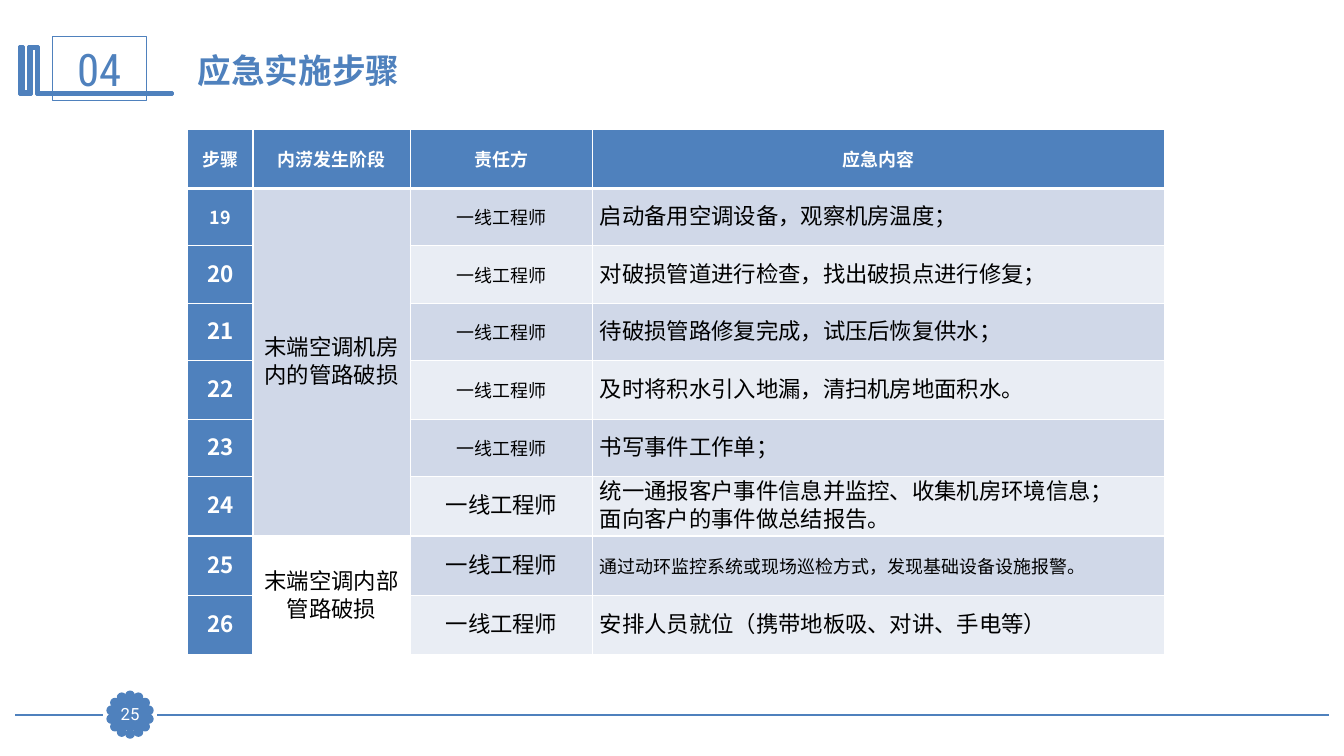
from dataclasses import dataclass
from math import cos, pi, sin

from lxml import etree
from pptx import Presentation
from pptx.dml.color import RGBColor
from pptx.enum.shapes import MSO_CONNECTOR, MSO_SHAPE
from pptx.enum.text import MSO_ANCHOR, MSO_AUTO_SIZE, PP_ALIGN
from pptx.oxml.ns import qn
from pptx.util import Inches, Pt

LEFT, CENTER = PP_ALIGN.LEFT, PP_ALIGN.CENTER
MIDDLE = MSO_ANCHOR.MIDDLE
NO_AUTOFIT = MSO_AUTO_SIZE.NONE
RECTANGLE, OVAL = MSO_SHAPE.RECTANGLE, MSO_SHAPE.OVAL
STRAIGHT = MSO_CONNECTOR.STRAIGHT


@dataclass(frozen=True)
class Theme:
    accent: str = "4F81BD"
    white: str = "FFFFFF"
    black: str = "000000"
    bands: tuple = ("D0D8E8", "E9EDF4")
    latin: str = "Roboto"
    condensed: str = "Roboto Condensed"
    cjk: str = "Noto Sans CJK SC"
    number_size: int = 32
    title_size: int = 24
    table_size: int = 16
    page_size: int = 12


THEME = Theme()
SLIDE_WIDTH, SLIDE_HEIGHT = 13.33, 7.5
TABLE_LEFT, TABLE_WIDTH = 1.86, 9.69

COLUMN_WIDTHS = (0.65, 1.56, 1.81, 5.67)
ROW_HEIGHTS = (0.59, 0.57, 0.57, 0.57, 0.58, 0.57, 0.59, 0.59, 0.59)
HEADINGS = ("步骤", "内涝发生阶段", "责任方", "应急内容")
FIRST_STEP = 19
RESPONSIBLE = "一线工程师"
ACTIONS = (
    ("启动备用空调设备，观察机房温度；",),
    ("对破损管道进行检查，找出破损点进行修复；",),
    ("待破损管路修复完成，试压后恢复供水；",),
    ("及时将积水引入地漏，清扫机房地面积水。",),
    ("书写事件工作单；",),
    ("统一通报客户事件信息并监控、收集机房环境信息；", "面向客户的事件做总结报告。"),
    ("通过动环监控系统或现场巡检方式，发现基础设备设施报警。",),
    ("安排人员就位（携带地板吸、对讲、手电等）",),
)
# first step, last step, wording, fill, font
STAGES = (
    (19, 24, "末端空调机房内的管路破损", THEME.bands[0], THEME.latin),
    (25, 26, "末端空调内部管路破损", None, THEME.cjk),
)


def rgb(color):
    return RGBColor.from_string(color)


def write(frame, *lines, size, color, font=THEME.cjk, bold=False,
          align=CENTER, spacing=None, small_caps=False):
    for index, line in enumerate(lines):
        paragraph = frame.paragraphs[0] if index == 0 else frame.add_paragraph()
        paragraph.alignment = align
        if spacing:
            paragraph.line_spacing = Pt(spacing)
        run = paragraph.add_run()
        run.text = line
        run.font.size, run.font.bold, run.font.name = Pt(size), bold, font
        run.font.color.rgb = rgb(color)
        properties = run.font._element
        etree.SubElement(properties, qn("a:ea")).set("typeface", THEME.cjk)
        if small_caps:
            properties.set("cap", "small")


def paint(shape, fill, line_width):
    shape.shadow.inherit = False
    if fill:
        shape.fill.solid()
        shape.fill.fore_color.rgb = rgb(fill)
    else:
        shape.fill.background()
    shape.line.color.rgb = rgb(THEME.accent)
    shape.line.width = Pt(line_width)


def add_panel(slide, preset, box, fill, line_width):
    panel = slide.shapes.add_shape(preset, *map(Inches, box))
    paint(panel, fill, line_width)
    return panel


def add_rule(slide, start, end, y):
    rule = slide.shapes.add_connector(
        STRAIGHT, Inches(start), Inches(y), Inches(end), Inches(y))
    rule.line.color.rgb = rgb(THEME.accent)
    rule.line.width = Pt(1.25)
    etree.SubElement(rule._element.spPr, qn("a:effectLst"))


def add_section_mark(slide, left, top, number):
    """Folded ribbon with the section number in a frame above its tail."""
    ribbon = ((0.18, 0), (0.19, 0), (0.19, 0.46), (1.52, 0.46), (1.52, 0.48),
              (0.17, 0.48), (0.17, 0.02), (0.12, 0.02), (0.12, 0.48), (0, 0.48),
              (0, 0), (0.04, 0), (0.04, 0.45), (0.09, 0.45), (0.09, 0))
    points = [(Inches(left + x), Inches(top + y)) for x, y in ribbon]
    builder = slide.shapes.build_freeform(*points[0])
    builder.add_line_segments(points[1:], close=True)
    paint(builder.convert_to_shape(), THEME.accent, 2)

    frame = add_panel(slide, RECTANGLE, (left + 0.33, top - 0.1, 0.93, 0.64),
                      None, 0.75).text_frame
    frame.vertical_anchor = MIDDLE
    write(frame, number, size=THEME.number_size, color=THEME.accent,
          font=THEME.condensed)


def set_title(slide, box, wording):
    title = slide.shapes.title
    title.left, title.top, title.width, title.height = map(Inches, box)
    frame = title.text_frame
    frame.word_wrap = True
    frame.auto_size = NO_AUTOFIT
    frame.vertical_anchor = MIDDLE
    write(frame, wording, size=THEME.title_size, color=THEME.accent,
          font=THEME.latin, bold=True, align=LEFT)


def add_page_footer(slide, center_x, center_y, page):
    """Rule across the slide, broken by a scalloped badge with the page number."""
    margin, gap, petals, radius, petal = 0.15, 0.27, 14, 0.19, 0.07
    add_rule(slide, margin, center_x - gap, center_y)
    add_rule(slide, center_x + gap, SLIDE_WIDTH - margin, center_y)
    for index in range(petals):
        angle = 2 * pi * index / petals
        add_panel(slide, OVAL, (center_x + radius * sin(angle) - petal / 2,
                                center_y - radius * cos(angle) - petal / 2,
                                petal, petal), THEME.accent, 2)
    badge = add_panel(slide, RECTANGLE,
                      (center_x - 0.16, center_y - 0.16, 0.32, 0.31),
                      THEME.accent, 0.75)
    frame = badge.text_frame
    frame.margin_left = frame.margin_right = 0
    frame.margin_top = frame.margin_bottom = 0
    frame.vertical_anchor = MIDDLE
    write(frame, page, size=THEME.page_size, color=THEME.white, font=THEME.latin)


def border_cell(cell, **widths):
    properties = cell._tc.get_or_add_tcPr()
    for side in "LRTB":
        line = etree.SubElement(properties, qn(f"a:ln{side}"),
                                w=str(Pt(widths.get(side, 1))))
        fill = etree.SubElement(line, qn("a:solidFill"))
        etree.SubElement(fill, qn("a:srgbClr"), val=THEME.white)


def fill_cell(cell, *lines, fill, color=THEME.black, **text_format):
    if fill:
        cell.fill.solid()
        cell.fill.fore_color.rgb = rgb(fill)
    else:
        cell.fill.background()
    cell.vertical_anchor = MIDDLE
    cell.margin_left = cell.margin_right = Inches(0.07)
    cell.margin_top = cell.margin_bottom = 0
    write(cell.text_frame, *lines, size=THEME.table_size, color=color,
          spacing=20, **text_format)


def add_steps_table(slide, box):
    table = slide.shapes.add_table(
        len(ROW_HEIGHTS), len(COLUMN_WIDTHS), *map(Inches, box)).table
    table.first_row = table.horz_banding = False
    for column, width in zip(table.columns, COLUMN_WIDTHS):
        column.width = Inches(width)
    for index, (row, height) in enumerate(zip(table.rows, ROW_HEIGHTS)):
        row.height = Inches(height)
        for cell in row.cells:
            border_cell(cell, B=3 if index == 0 else 1, T=3 if index == 1 else 1)

    label = dict(fill=THEME.accent, color=THEME.white, bold=True)
    for column, heading in enumerate(HEADINGS):
        fill_cell(table.cell(0, column), heading, small_caps=True, **label)
    for row, action in enumerate(ACTIONS, start=1):
        step = FIRST_STEP + row - 1
        band = THEME.bands[(row - 1) % 2]
        fill_cell(table.cell(row, 0), str(step), small_caps=step == 19, **label)
        fill_cell(table.cell(row, 2), RESPONSIBLE, fill=band, small_caps=step < 24)
        fill_cell(table.cell(row, 3), *action, fill=band, align=LEFT,
                  font=THEME.latin if step < 25 else THEME.cjk,
                  small_caps=step == 25)
    for first, last, stage, fill, font in STAGES:
        top = table.cell(first - FIRST_STEP + 1, 1)
        top.merge(table.cell(last - FIRST_STEP + 1, 1))
        fill_cell(top, stage, fill=fill, font=font)


def main():
    deck = Presentation()
    deck.slide_width, deck.slide_height = Inches(SLIDE_WIDTH), Inches(SLIDE_HEIGHT)
    slide = deck.slides.add_slide(deck.slide_layouts[5])
    add_page_footer(slide, 1.29, 7.09, "25")
    add_section_mark(slide, 0.19, 0.46, "04")
    add_steps_table(slide, (TABLE_LEFT, 1.28, TABLE_WIDTH, sum(ROW_HEIGHTS)))
    set_title(slide, (TABLE_LEFT, 0.44, TABLE_WIDTH, 0.5), "应急实施步骤")
    deck.save("out.pptx")


if __name__ == "__main__":
    main()
